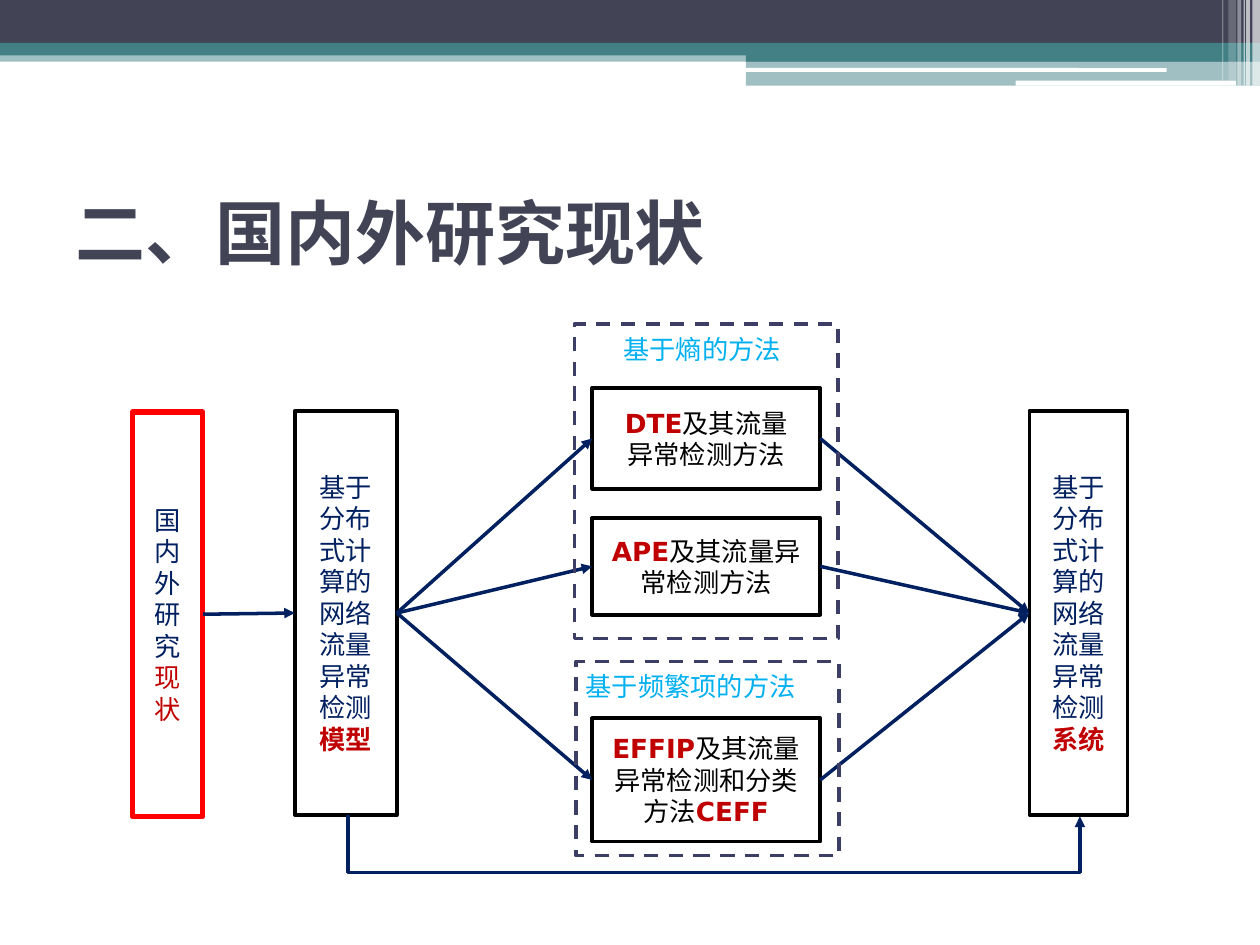
"""Build the slide on the state of research into traffic anomaly detection."""
from dataclasses import dataclass
from typing import Any

from pptx import Presentation
from pptx.dml.color import RGBColor
from pptx.enum.dml import MSO_LINE_DASH_STYLE as Dash
from pptx.enum.shapes import MSO_CONNECTOR as Link, MSO_SHAPE as Shape
from pptx.enum.text import MSO_ANCHOR as Anchor, PP_ALIGN as Align
from pptx.oxml.ns import qn
from pptx.util import Inches, Pt
from lxml.etree import SubElement

SLATE, TEAL, WHITE, BLACK = "424456", "438086", "FFFFFF", "000000"
NAVY, CRIMSON, SKY, VIOLET, RED = "002060", "C00000", "00B0F0", "3D3E66", "FF0000"
LEFT, RIGHT = 1, 3


def rgb(value):
    """Turn a hex string into a colour."""
    return RGBColor.from_string(value)


def apply(target, values):
    """Set every attribute named in a dict of format values."""
    for key, value in values.items():
        setattr(target, key, value)


@dataclass
class Diagram:
    """Hold the style and the current slide."""
    slide: Any
    font: str = "DejaVu Sans"
    label_font: str = "Calibri"
    size: int = 15
    line_width: int = 2

    def add_runs(self, paragraph, runs, **values):
        """Fill a paragraph with runs of text, colour and weight."""
        for words, color, bold in runs:
            run = paragraph.add_run()
            run.text = words
            apply(run.font, {"name": self.font, "size": Pt(self.size), "bold": bold} | values)
            run.font.color.rgb = rgb(color)

    def title(self, words, place):
        """Place the title placeholder."""
        title = self.slide.shapes.title
        apply(title, dict(zip(("left", "top", "width", "height"), map(Inches, place))))
        apply(title.text_frame, {"vertical_anchor": Anchor.MIDDLE, "word_wrap": True})
        paragraph = title.text_frame.paragraphs[0]
        paragraph.alignment = Align.LEFT
        self.add_runs(paragraph, [(words, SLATE, True)], size=Pt(40))

    def band(self, place, color, opacity=100, kind=Shape.RECTANGLE):
        """Draw one borderless strip of the header."""
        strip = self.slide.shapes.add_shape(kind, *map(Inches, place))
        strip.shadow.inherit = False
        strip.fill.solid()
        strip.fill.fore_color.rgb = rgb(color)
        strip.line.fill.background()
        if opacity < 100:
            tint = strip._element.spPr.find(qn("a:solidFill")).find(qn("a:srgbClr"))
            SubElement(tint, qn("a:alpha")).set("val", str(opacity * 1000))

    def box(self, place, paragraphs=(), color=BLACK, **line_values):
        """Draw an outlined box with centred text."""
        box = self.slide.shapes.add_shape(Shape.RECTANGLE, *map(Inches, place))
        box.shadow.inherit = False
        box.fill.background()
        box.line.color.rgb = rgb(color)
        apply(box.line, {"width": Pt(self.line_width)} | line_values)
        frame = box.text_frame
        apply(frame, {"vertical_anchor": Anchor.MIDDLE, "word_wrap": True})
        for index, runs in enumerate(paragraphs):
            paragraph = frame.add_paragraph() if index else frame.paragraphs[0]
            paragraph.alignment = Align.CENTER
            self.add_runs(paragraph, runs)
        return box

    def label(self, place, words):
        """Add the heading of a group of methods."""
        frame = self.slide.shapes.add_textbox(*map(Inches, place)).text_frame
        frame.word_wrap = True
        self.add_runs(frame.paragraphs[0], [(words, SKY, False)], name=self.label_font)

    def style_arrow(self, arrow):
        """Give a connector its colour, width and arrowhead."""
        arrow.line.color.rgb = rgb(NAVY)
        arrow.line.width = Pt(self.line_width)
        properties = arrow._element.spPr
        SubElement(properties.find(qn("a:ln")), qn("a:tailEnd")).set("type", "triangle")
        SubElement(properties, qn("a:effectLst"))

    def arrow(self, source, target):
        """Join the right side of one box to the left side of another."""
        arrow = self.slide.shapes.add_connector(Link.STRAIGHT, 0, 0, 0, 0)
        arrow.begin_connect(source, RIGHT)
        arrow.end_connect(target, LEFT)
        self.style_arrow(arrow)

    def detour(self, start_x, end_x, bottom, drop):
        """Run an elbow arrow below the boxes from one bottom to another."""
        depth, span = 0.01, end_x - start_x
        left, top = (start_x + end_x - depth) / 2, bottom + (depth - span) / 2
        arrow = self.slide.shapes.add_connector(
            Link.ELBOW, *map(Inches, (left, top, left + depth, top + span)))
        xfrm = arrow._element.spPr.find(qn("a:xfrm"))
        xfrm.set("rot", str(270 * 60000))
        xfrm.set("flipH", "1")
        geometry = arrow._element.spPr.find(qn("a:prstGeom"))
        guide = SubElement(geometry.find(qn("a:avLst")), qn("a:gd"))
        guide.set("name", "adj1")
        guide.set("fmla", f"val {round(drop / depth * 100000)}")
        self.style_arrow(arrow)


def draw_header(diagram):
    """Draw the coloured strips at the top of the slide."""
    for place, color, opacity in (
        ((0, 0.4, 10, 0.09), TEAL, 50),
        ((0, 0, 10, 0.34), SLATE, 100),
        ((0, 0.34, 10, 0.1), TEAL, 100),
        ((5.92, 0.39, 4.08, 0.1), TEAL, 100),
        ((5.92, 0.48, 4.08, 0.2), TEAL, 50),
    ):
        diagram.band(place, color, opacity)
    for place in ((5.91, 0.54, 3.35, 0.03), (8.06, 0.64, 1.75, 0.04)):
        diagram.band(place, WHITE, kind=Shape.ROUNDED_RECTANGLE)
    for left, width, height, opacity in (
        (9.94, 0.06, 0.68, 65), (9.89, 0.03, 0.68, 65), (9.87, 0.01, 0.68, 60),
        (9.82, 0.03, 0.68, 40), (9.75, 0.06, 0.64, 20), (9.7, 0.01, 0.64, 30),
    ):
        diagram.band((left, 0, width, height), WHITE, opacity)


def draw_flow(diagram):
    """Draw the boxes, the groups and the arrows between them."""
    shared = ("基于分布式计算的网络流量异常检测", NAVY, False)
    model = diagram.box((2.34, 3.26, 0.81, 3.21), [[shared, ("模型", CRIMSON, True)]])
    system = diagram.box((8.17, 3.26, 0.78, 3.21), [[shared, ("系统", CRIMSON, True)]])
    status = diagram.box(
        (1.05, 3.27, 0.56, 3.21),
        [[("国内外研究", NAVY, False), ("现状", CRIMSON, False)]], RED, width=Pt(3))
    diagram.arrow(status, model)

    for top, height, paragraphs in (
        (3.08, 0.8, [[("DTE", CRIMSON, True), ("及其流量", BLACK, False)],
                     [("异常检测方法", BLACK, False)]]),
        (4.11, 0.77, [[("APE", CRIMSON, True), ("及其流量异常检测方法", BLACK, False)]]),
        (5.7, 0.98, [[("EFFIP", CRIMSON, True), ("及其流量异常检测和分类方法", BLACK, False),
                      ("CEFF", CRIMSON, True)]]),
    ):
        method = diagram.box((4.7, top, 1.81, height), paragraphs)
        diagram.arrow(model, method)
        diagram.arrow(method, system)
    diagram.detour(2.76, 8.57, 6.47, 0.46)

    for label_place, words, frame_place in (
        ((4.85, 2.6, 1.67, 0.43), "基于熵的方法", (4.56, 2.57, 2.09, 2.5)),
        ((4.55, 5.27, 2.21, 0.43), "基于频繁项的方法", (4.57, 5.25, 2.09, 1.54)),
    ):
        diagram.label(label_place, words)
        diagram.box(frame_place, color=VIOLET, dash_style=Dash.DASH)


def main():
    """Build and save the presentation."""
    deck = Presentation()
    apply(deck, {"slide_width": Inches(10), "slide_height": Inches(7.5)})
    diagram = Diagram(deck.slides.add_slide(deck.slide_layouts[5]))
    draw_header(diagram)
    diagram.title("二、国内外研究现状", (0.5, 1.25, 9, 1.17))
    draw_flow(diagram)
    deck.save("out.pptx")


if __name__ == "__main__":
    main()
